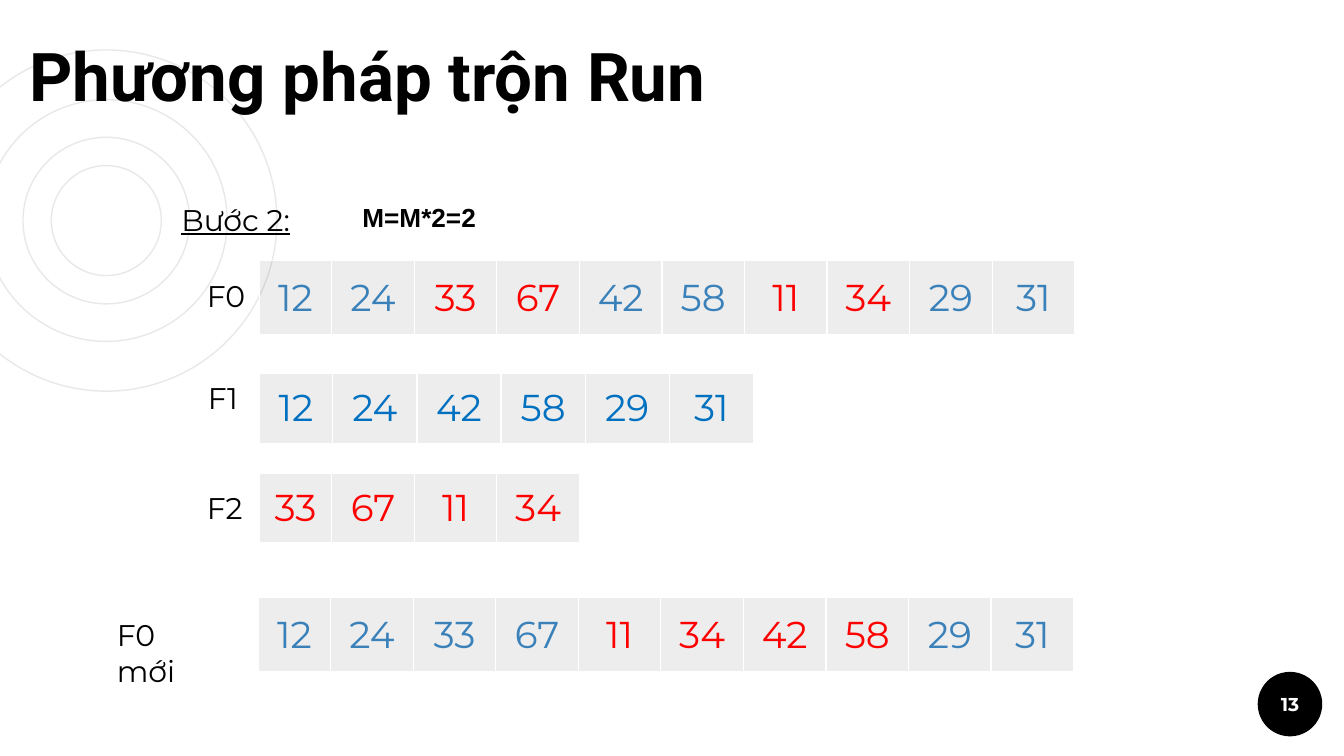
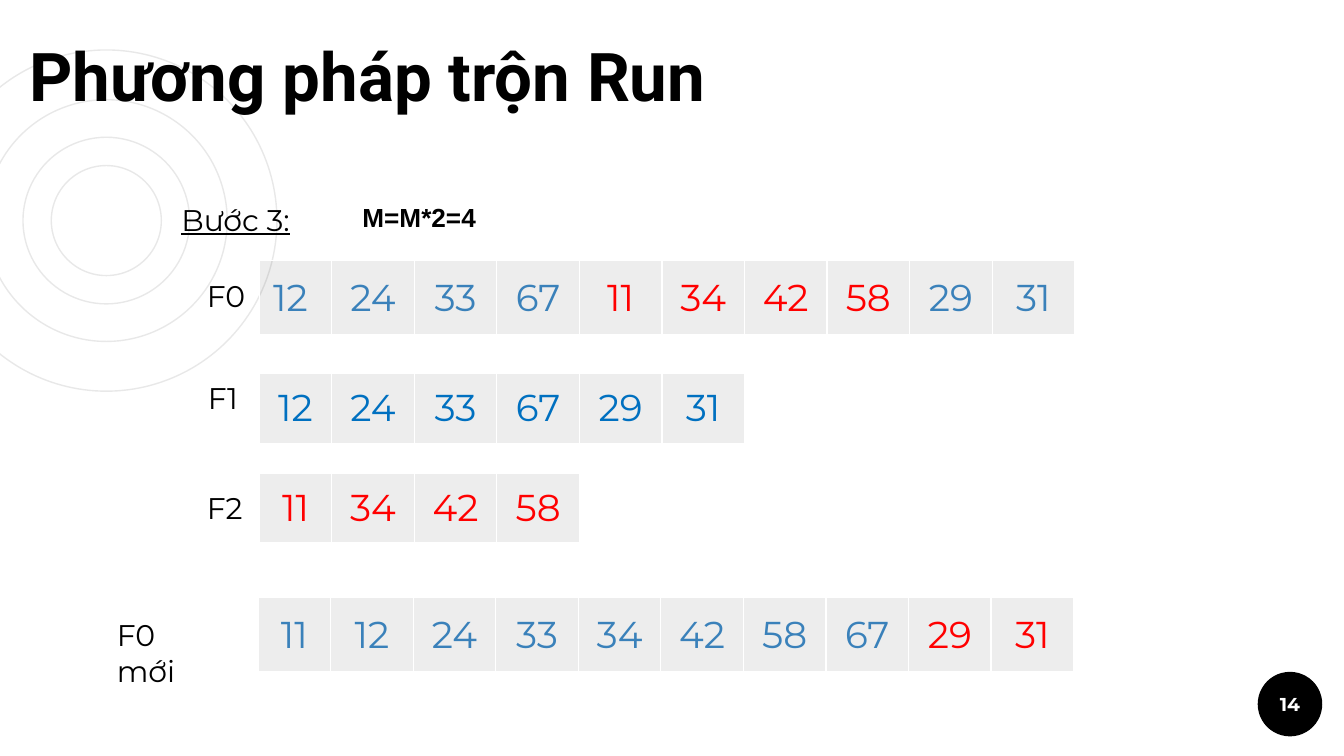
from lxml.etree import SubElement
from pptx import Presentation
from pptx.dml.color import RGBColor
from pptx.enum.shapes import MSO_SHAPE
from pptx.enum.text import MSO_ANCHOR, MSO_AUTO_SIZE, PP_ALIGN
from pptx.oxml.ns import qn
from pptx.util import Cm, Pt

# Content: each row is a list of (values, colour) runs
TITLE = "Phương pháp trộn Run"
STEPS = [
    {
        "page": "13", "step": "Bước 2:", "wide": 2.67, "rule": "M=M*2=2",
        "F0": [("12,24", "steel"), ("33,67", "red"), ("42,58", "steel"),
               ("11,34", "red"), ("29,31", "steel")],
        "F1": [("12,24,42,58,29,31", "blue")],
        "F2": [("33,67,11,34", "red")],
        "new": [("12,24,33,67", "steel"), ("11,34,42,58", "red"),
                ("29,31", "steel")],
        "cols": {"F1": (1.39, 1.59)},
    },
    {
        "page": "14", "step": "Bước 3:", "wide": 2.92, "rule": "M=M*2=4",
        "F0": [("12 ,24,33,67", "steel"), ("11,34,42,58", "red"),
               ("29,31", "steel")],
        "F1": [("12,24,33,67,29,31", "blue")],
        "F2": [("11,34,42,58", "red")],
        "new": [("11,12,24,33,34,42,58,67", "steel"), ("29,31", "red")],
        "cols": {},
    },
]

# Shared look
HUES = {"black": "000000", "white": "FFFFFF", "ring": "E8E8E8",
        "steel": "3A81BA", "blue": "0070C0", "red": "FF0000"}
FONTS = {
    "title": {"name": "Roboto", "size": Pt(36), "bold": True},
    "page": {"name": "Montserrat", "size": Pt(10), "bold": True},
    "step": {"name": "Montserrat", "size": Pt(16), "underline": True},
    "label": {"name": "Montserrat", "size": Pt(16)},
    "rule": {"name": "Arial", "size": Pt(14), "bold": True},
    "cell": {"name": "Montserrat", "size": Pt(20)},
}
HUB = (2.01, 4.17)
RINGS = (6.45, 3.15, 4.57, 2.08)
BADGE = (23.77, 12.7, 1.22, 1.22)
COLS = (1.37, 1.56)  # first column, other columns

# Row key: label text, label left and top, table left, top and height
ROWS = {
    "F0": ("F0 ", 3.66, 5.13, 4.9, 4.93, 1.4),
    "F1": ("F1 ", 3.68, 7.06, 4.9, 7.06, 1.32),
    "F2": ("F2 ", 3.66, 9.14, 4.9, 8.94, 1.32),
    "new": ("F0 mới", 1.96, 11.53, 4.88, 11.3, 1.4),
}


def hue(key):
    return RGBColor.from_string(HUES[key])


def put(item, **vals):
    for key, val in vals.items():
        setattr(item, key, val)


def style(run, kind, tone):
    put(run.font, **FONTS[kind])
    run.font.color.rgb = hue(tone)


def text(page, words, box, kind, tone="black", align=None, **frame):
    area = page.shapes.add_textbox(*map(Cm, box)).text_frame
    put(area, **{"word_wrap": True, **frame})
    para = area.paragraphs[0]
    para.alignment = align
    run = para.add_run()
    run.text = words
    style(run, kind, tone)


def disc(page, box, fill=None, line=None):
    oval = page.shapes.add_shape(MSO_SHAPE.OVAL, *map(Cm, box))
    oval.shadow.inherit = False
    if fill:
        oval.fill.solid()
        oval.fill.fore_color.rgb = hue(fill)
    else:
        oval.fill.background()
    if line:
        oval.line.color.rgb = hue(line)
        oval.line.width = Pt(0.75)
    else:
        oval.line.fill.background()


def paint(cell):
    """Faint black fill and thin white borders."""
    cell.fill.solid()
    cell.fill.fore_color.rgb = hue("black")
    props = cell._tc.get_or_add_tcPr()
    tint = props.find(".//" + qn("a:srgbClr"))
    SubElement(tint, qn("a:alpha"), val="7000")
    for spot, side in enumerate(("lnL", "lnR", "lnT", "lnB")):
        edge = SubElement(props, qn("a:" + side), w=str(Pt(0.75)))
        fill = SubElement(edge, qn("a:solidFill"))
        SubElement(fill, qn("a:srgbClr"), val=HUES["white"])
        props.insert(spot, edge)


def strip(page, runs, left, top, high, cols):
    nums = [(num, tone) for part, tone in runs for num in part.split(",")]
    wides = [cols[0]] + [cols[1]] * (len(nums) - 1)
    box = (left, top, sum(wides), high)
    grid = page.shapes.add_table(1, len(nums), *map(Cm, box)).table
    put(grid, first_row=False, horz_banding=False)
    for spot, (num, tone) in enumerate(nums):
        grid.columns[spot].width = Cm(wides[spot])
        cell = grid.cell(0, spot)
        put(cell, vertical_anchor=MSO_ANCHOR.MIDDLE,
            margin_left=Cm(0.25), margin_right=Cm(0.25),
            margin_top=Cm(0.18), margin_bottom=Cm(0.18))
        para = cell.text_frame.paragraphs[0]
        para.alignment = PP_ALIGN.CENTER
        run = para.add_run()
        run.text = num
        style(run, "cell", tone)
        paint(cell)


deck = Presentation()
put(deck, slide_width=Cm(25.4), slide_height=Cm(14.29))
PAD = {"margin_" + side: Cm(0.25)
       for side in ("left", "right", "top", "bottom")}
GROW = {"auto_size": MSO_AUTO_SIZE.SHAPE_TO_FIT_TEXT}

for data in STEPS:
    page = deck.slides.add_slide(deck.slide_layouts[6])

    # Rings and page badge
    for size in RINGS:
        disc(page, (HUB[0] - size / 2, HUB[1] - size / 2, size, size),
             line="ring")
    disc(page, BADGE, fill="black")
    text(page, data["page"], BADGE, "page", "white", PP_ALIGN.CENTER,
         vertical_anchor=MSO_ANCHOR.MIDDLE, **PAD)

    # Step heading
    text(page, data["step"], (3.18, 3.68, data["wide"], 0.94), "step", **GROW)
    text(page, data["rule"], (6.6, 3.68, 2.67, 1.45), "rule",
         **{**GROW, "word_wrap": False})

    # Labelled number rows
    for key, (label, x, y, left, top, high) in ROWS.items():
        strip(page, data[key], left, top, high, data["cols"].get(key, COLS))
        text(page, label, (x, y, 2.44, 0.94), "label", **GROW)

    # Title
    text(page, TITLE, (0.3, 0.53, 16.03, 1.9), "title",
         vertical_anchor=MSO_ANCHOR.BOTTOM, **PAD)

deck.save("out.pptx")
